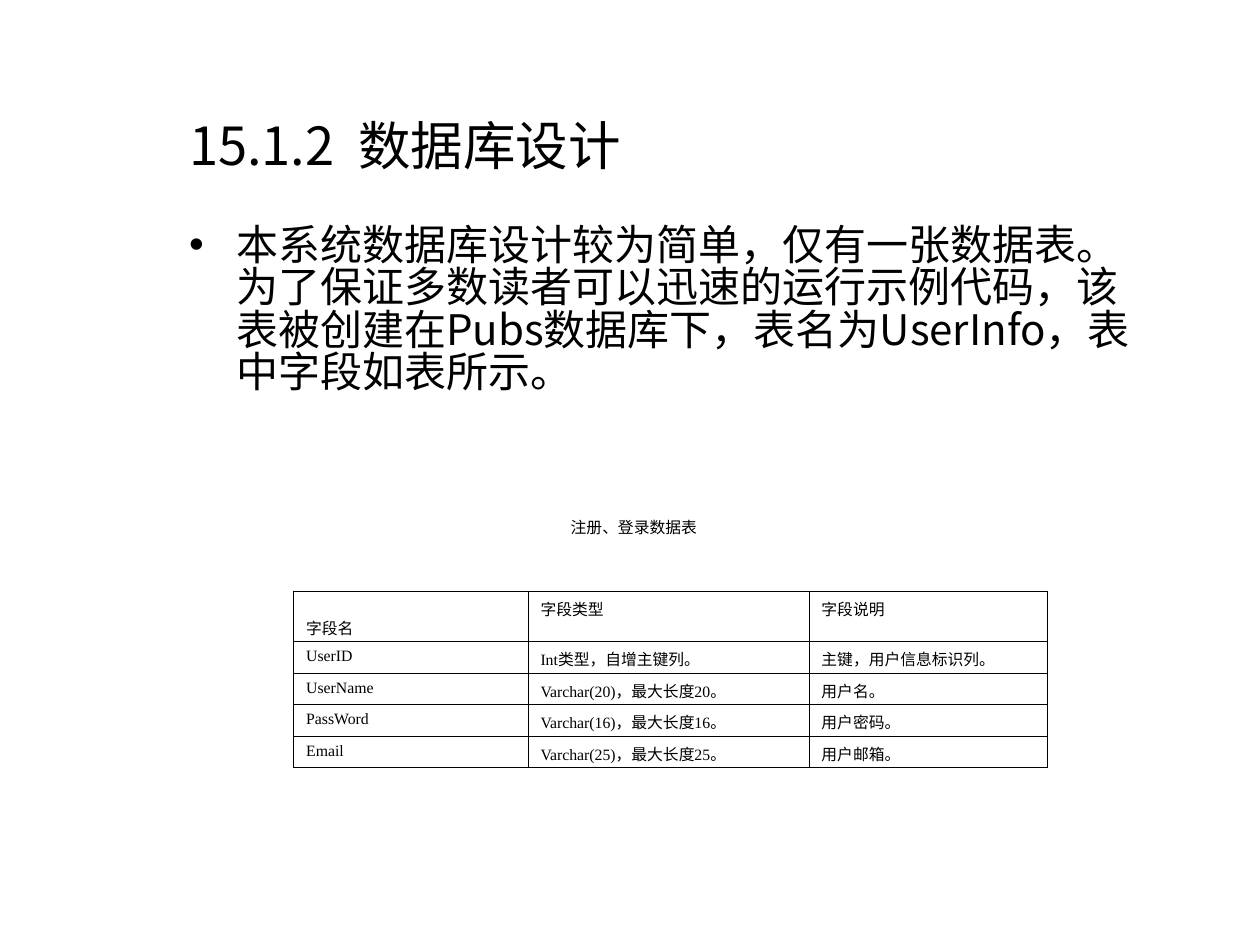
from lxml.etree import SubElement
from pptx import Presentation
from pptx.dml.color import RGBColor
from pptx.enum.text import MSO_ANCHOR, MSO_AUTO_SIZE, PP_ALIGN
from pptx.oxml.ns import qn
from pptx.util import Inches, Pt

COLORS = {"text": "000000", "border": "000000", "cell": "FFFFFF"}
CJK = "Noto Sans CJK SC"

TITLE = "15.1.2  数据库设计"
BODY = ("本系统数据库设计较为简单，仅有一张数据表。为了保证多数读者可以迅速的运行示例代码，"
        "该表被创建在Pubs数据库下，表名为UserInfo，表中字段如表所示。")
CAPTION = "注册、登录数据表"
FIELDS = [
    ("字段名", "字段类型", "字段说明"),
    ("UserID", "Int类型，自增主键列。", "主键，用户信息标识列。"),
    ("UserName", "Varchar(20)，最大长度20。", "用户名。"),
    ("PassWord", "Varchar(16)，最大长度16。", "用户密码。"),
    ("Email", "Varchar(25)，最大长度25。", "用户邮箱。"),
]
COL_WIDTHS = [1.86, 2.23, 1.89]
HEADER_HEIGHT, ROW_HEIGHT = 0.4, 0.25


def write(tf, text, size, font=CJK, align=PP_ALIGN.LEFT, spacing=None):
    p = tf.paragraphs[0]
    p.alignment = align
    p.space_before = Pt(0)
    if spacing:
        p.line_spacing = spacing
    r = p.add_run()
    r.text = text
    r.font.size = Pt(size)
    r.font.name = font
    r.font.color.rgb = RGBColor.from_string(COLORS["text"])
    SubElement(r.font._element, qn("a:ea"), typeface=CJK)


def place(sp, left, top, width, height):
    sp.left, sp.top = Inches(left), Inches(top)
    sp.width, sp.height = Inches(width), Inches(height)


def add_borders(cell):
    tc_pr = cell._tc.get_or_add_tcPr()
    for i, side in enumerate(("lnL", "lnR", "lnT", "lnB")):
        ln = SubElement(tc_pr, qn(f"a:{side}"), w=str(Pt(0.45)))
        fill = SubElement(ln, qn("a:solidFill"))
        SubElement(fill, qn("a:srgbClr"), val=COLORS["border"])
        # Borders must precede the cell fill
        tc_pr.insert(i, ln)


def add_field_table(slide, left, top):
    height = HEADER_HEIGHT + ROW_HEIGHT * (len(FIELDS) - 1)
    table = slide.shapes.add_table(
        len(FIELDS), len(COL_WIDTHS), Inches(left), Inches(top),
        Inches(sum(COL_WIDTHS)), Inches(height)).table
    table.first_row = table.horz_banding = False
    for col, width in zip(table.columns, COL_WIDTHS):
        col.width = Inches(width)
    for i, row in enumerate(FIELDS):
        table.rows[i].height = Inches(ROW_HEIGHT if i else HEADER_HEIGHT)
        for j, text in enumerate(row):
            cell = table.cell(i, j)
            cell.margin_top, cell.margin_bottom = Inches(0.05), Inches(0.02)
            cell.fill.solid()
            cell.fill.fore_color.rgb = RGBColor.from_string(COLORS["cell"])
            add_borders(cell)
            write(cell.text_frame, text, 9, font="Times New Roman")
    table.cell(0, 0).vertical_anchor = MSO_ANCHOR.BOTTOM


def main():
    prs = Presentation()
    prs.slide_width, prs.slide_height = Inches(10), Inches(7.5)
    slide = prs.slides.add_slide(prs.slide_layouts[1])

    title, body = slide.placeholders
    place(title, 1.4, 0.75, 7.75, 0.8)
    place(body, 1.4, 1.75, 7.77, 5.07)
    for sp in (title, body):
        sp.text_frame.auto_size = MSO_AUTO_SIZE.NONE
    write(title.text_frame, TITLE, 30)
    write(body.text_frame, BODY, 24, spacing=0.84)

    caption = slide.shapes.add_textbox(
        Inches(4.43), Inches(4.06), Inches(1.2), Inches(0.25))
    caption.text_frame.word_wrap = False
    caption.text_frame.vertical_anchor = MSO_ANCHOR.MIDDLE
    write(caption.text_frame, CAPTION, 9, font="Arial", align=PP_ALIGN.CENTER)

    add_field_table(slide, 2.33, 4.69)
    prs.save("out.pptx")


if __name__ == "__main__":
    main()
